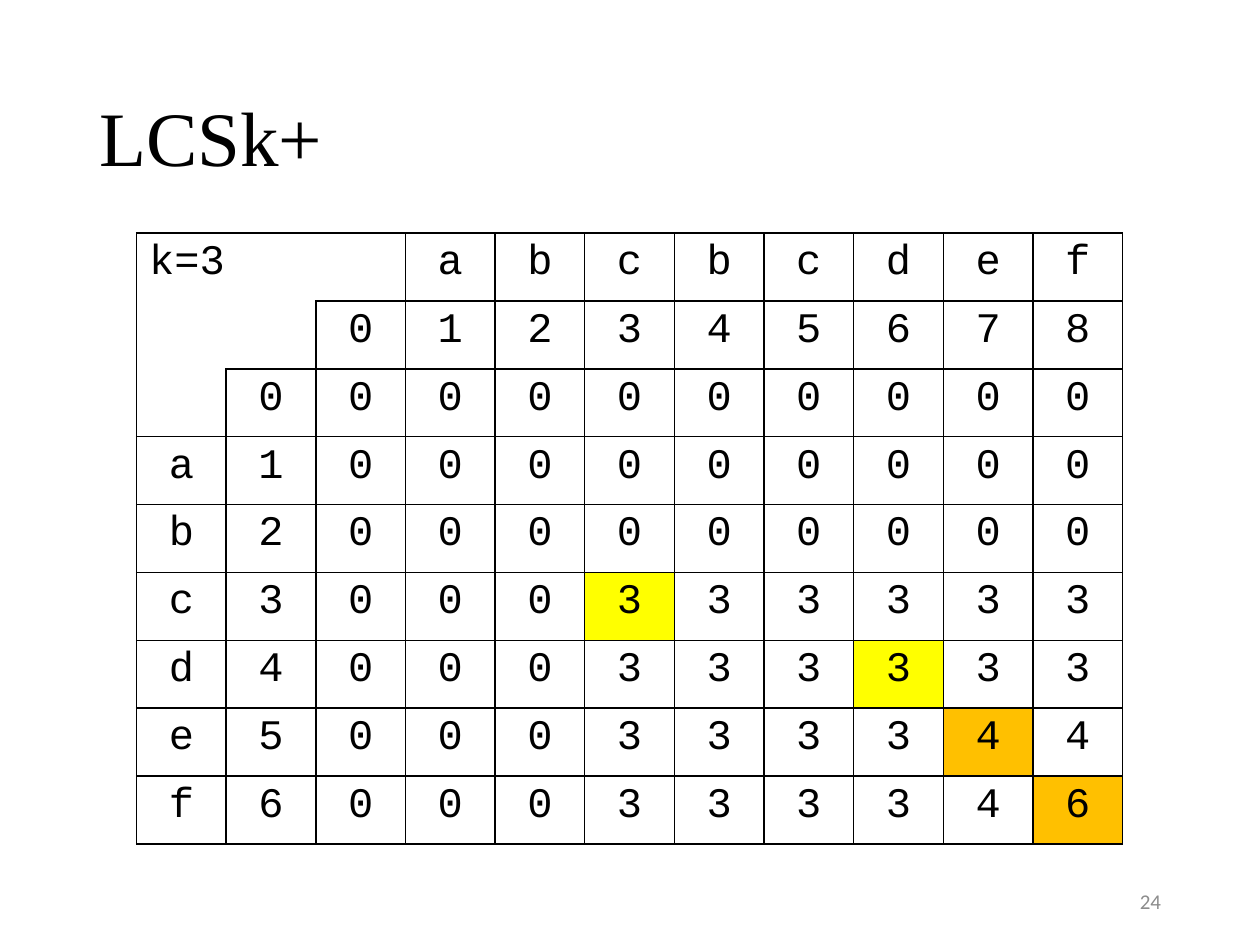
from lxml.etree import SubElement as Sub
from pptx import Presentation
from pptx.dml.color import RGBColor as Rgb
from pptx.enum.text import MSO_ANCHOR as Anchor, PP_ALIGN as Align
from pptx.oxml.ns import qn
from pptx.util import Pt

HEX = {"ink": "000000", "grey": "8C8C8C", "white": "FFFFFF",
       "match": "FFFF00", "extend": "FFC000"}
GRID = [
    "   abcbcdef",
    "  012345678",
    " 0000000000",
    "a1000000000",
    "b2000000000",
    "c3000333333",
    "d4000333333",
    "e5000333344",
    "f6000333346",
]
MARKS = {(5, 5): "match", (6, 8): "match", (7, 9): "extend", (8, 10): "extend"}
STEPS = {0: "LTR", 1: "LR", 2: "LRB"}
WIDE, HIGH = 51.25, 38.8


def put_text(frame, text, font="Courier New", size=24, color="ink",
             align=Align.CENTER, anchor=None, space=None):
    para = frame.paragraphs[0]
    para.alignment, para.line_spacing = align, space
    if anchor is not None:
        frame.vertical_anchor = anchor
    run = para.add_run()
    run.text = text
    run.font.name, run.font.size = font, Pt(size)
    run.font.color.rgb = Rgb.from_string(HEX[color])


def set_edges(cell, edges):
    props = cell._tc.get_or_add_tcPr()
    for side in "LRTB":
        line = Sub(props, qn("a:ln" + side), w=str(Pt(1)))
        if side in edges:
            fill = Sub(line, qn("a:solidFill"))
            Sub(fill, qn("a:srgbClr"), val=HEX["ink"])
        else:
            Sub(line, qn("a:noFill"))


def set_fill(cell, color):
    if color:
        cell.fill.solid()
        cell.fill.fore_color.rgb = Rgb.from_string(HEX[color])
    else:
        cell.fill.background()


def pick_fill(row, col):
    plain = row > 1 and col > 1 and not (row > 6 and col > 4)
    return MARKS.get((row, col), "white" if plain else None)


def add_title(slide, text):
    title = slide.shapes.title
    title.left, title.top = Pt(49.5), Pt(28.75)
    title.width, title.height = Pt(621), Pt(104.4)
    put_text(title.text_frame, text, font="Times New Roman", size=44,
             align=Align.LEFT, anchor=Anchor.MIDDLE, space=0.9)


def add_grid(slide):
    rows, cols = len(GRID), len(GRID[0])
    table = slide.shapes.add_table(rows, cols, Pt(78), Pt(133.2),
                                   Pt(WIDE * cols), Pt(HIGH * rows)).table
    table.first_row = table.horz_banding = False
    for col in table.columns:
        col.width = Pt(WIDE)
    for r, line in enumerate(GRID):
        table.rows[r].height = Pt(HIGH)
        for c, mark in enumerate(line):
            cell = table.cell(r, c)
            set_edges(cell, STEPS[r] if mark == " " else "LRTB")
            set_fill(cell, pick_fill(r, c))
            if mark != " ":
                put_text(cell.text_frame, mark)
    for r, last in enumerate((2, 1)):
        table.cell(r, 0).merge(table.cell(r, last))
    put_text(table.cell(0, 0).text_frame, "k=3", align=Align.LEFT)


def add_number(slide, text):
    box = slide.shapes.add_textbox(Pt(508.5), Pt(500.5), Pt(162), Pt(28.75))
    box.text_frame.word_wrap = True
    put_text(box.text_frame, text, font="Calibri", size=12, color="grey",
             align=Align.RIGHT, anchor=Anchor.MIDDLE)


def main():
    deck = Presentation()
    deck.slide_width, deck.slide_height = Pt(720), Pt(540)
    slide = deck.slides.add_slide(deck.slide_layouts[5])
    add_title(slide, "LCSk+")
    add_number(slide, "24")
    add_grid(slide)
    deck.save("out.pptx")


if __name__ == "__main__":
    main()
